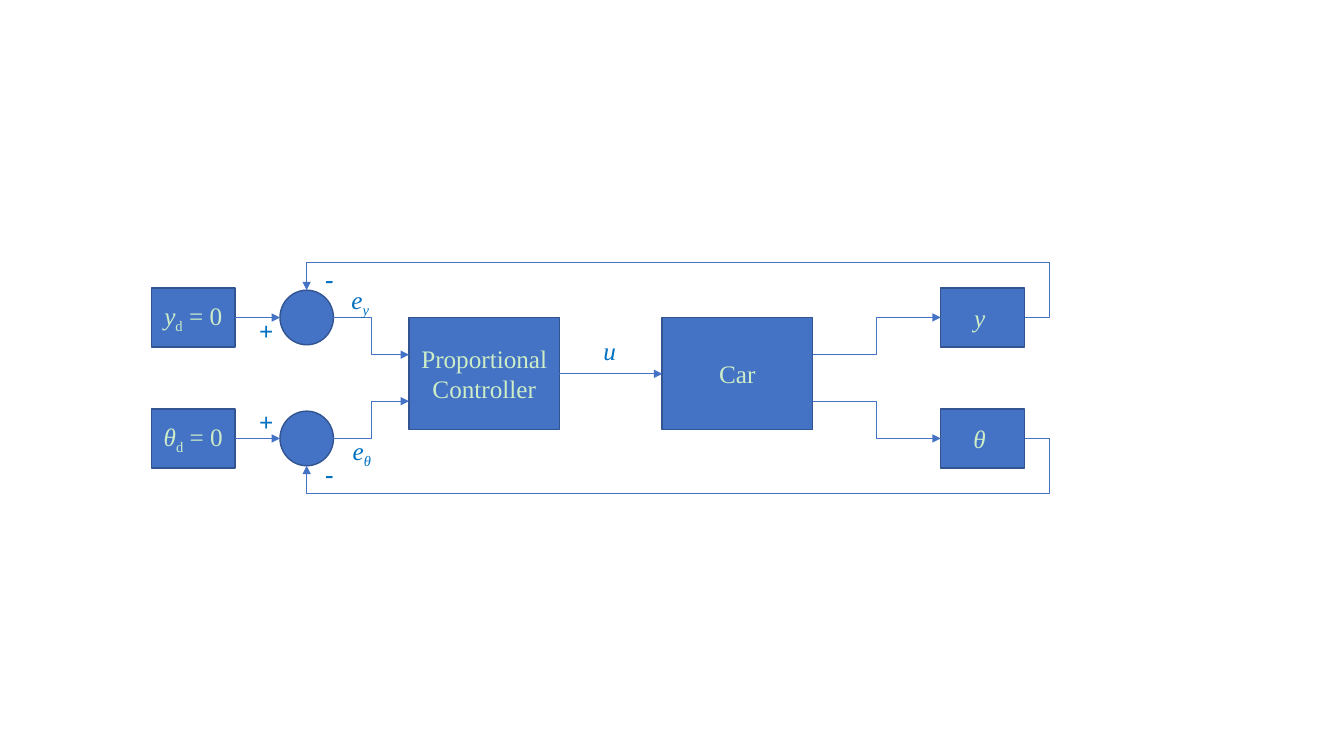
from lxml import etree
from pptx import Presentation
from pptx.dml.color import RGBColor
from pptx.enum.shapes import MSO_CONNECTOR as LINK, MSO_SHAPE as SHAPE
from pptx.enum.text import MSO_ANCHOR, MSO_AUTO_SIZE, PP_ALIGN
from pptx.oxml.ns import qn
from pptx.util import Pt

THEME = {
    "font": "Times New Roman",
    "size": 18,
    "block": RGBColor.from_string("4472C4"),
    "outline": RGBColor.from_string("325491"),
    "block_text": RGBColor.from_string("CCEDC7"),
    "signal": RGBColor.from_string("0070C0"),
    "outline_width": 1,
    "arrow_width": 0.5,
}


def write(frame, text, color, align=None, bold=None, italic=None):
    """Each line is a list of runs; "_" starts a subscript, "/" an italic run."""
    for number, line in enumerate(text):
        paragraph = frame.paragraphs[0] if number == 0 else frame.add_paragraph()
        paragraph.alignment = align
        for part in line:
            run = paragraph.add_run()
            run.text = part.lstrip("_/")
            run.font.name = THEME["font"]
            run.font.size = Pt(THEME["size"])
            run.font.color.rgb = color
            run.font.bold = bold
            run.font.italic = italic or "/" in part
            if part.startswith("_"):
                run._r.get_or_add_rPr().set("baseline", "-25000")


def connect(start, end, kind=LINK.STRAIGHT, source=None, target=None):
    """Draw an arrow; source and target are (shape, connection site)."""
    arrow = slide.shapes.add_connector(kind, *(Pt(v) for v in (*start, *end)))
    arrow.line.color.rgb = THEME["block"]
    arrow.line.width = Pt(THEME["arrow_width"])
    etree.SubElement(arrow.line._get_or_add_ln(), qn("a:tailEnd"), type="triangle")
    etree.SubElement(arrow._element.spPr, qn("a:effectLst"))
    ends = arrow._element.find(".//" + qn("p:cNvCxnSpPr"))
    for tag, glue in (("a:stCxn", source), ("a:endCxn", target)):
        if glue:
            etree.SubElement(ends, qn(tag), id=str(glue[0].shape_id), idx=str(glue[1]))
    return arrow


deck = Presentation()
deck.slide_width, deck.slide_height = Pt(960), Pt(540)
slide = deck.slides.add_slide(deck.slide_layouts[6])

# Layout: two signal rows around the controller and the car
row_y, row_theta, middle = 226.8, 313.2, 267
port_y, port_theta = 253.4, 286.6
setpoint_left, sum_left, controller_left, car_left, output_left = 108, 200, 292.2, 473, 672
small, sum_node, large = (60, 42), (38.2, 39), (107.4, 80)
RECT, OVAL = SHAPE.RECTANGLE, SHAPE.OVAL

# Blocks and summing nodes: shape, left, centre line, size, text
blocks = {
    "controller": (RECT, controller_left, middle, large, [["Proportional"], ["Controller"]]),
    "car": (RECT, car_left, middle, large, [["Car"]]),
    "setpoint_y": (RECT, setpoint_left, row_y, small, [["/y", "_d", " = 0"]]),
    "setpoint_theta": (RECT, setpoint_left, row_theta, small, [["/θ", "_d", " = 0"]]),
    "output_y": (RECT, output_left, row_y, small, [["/y "]]),
    "output_theta": (RECT, output_left, row_theta, small, [["/θ "]]),
    "sum_y": (OVAL, sum_left, row_y, sum_node, []),
    "sum_theta": (OVAL, sum_left, row_theta, sum_node, []),
}
drawn = {}
for part, (outline, left, centre, (width, height), text) in blocks.items():
    block = slide.shapes.add_shape(
        outline, Pt(left), Pt(centre - height / 2), Pt(width), Pt(height))
    block.shadow.inherit = False
    block.fill.solid()
    block.fill.fore_color.rgb = THEME["block"]
    block.line.color.rgb = THEME["outline"]
    block.line.width = Pt(THEME["outline_width"])
    block.text_frame.vertical_anchor = MSO_ANCHOR.MIDDLE
    write(block.text_frame, text, THEME["block_text"], align=PP_ALIGN.CENTER)
    drawn[part] = block

# Arrows of each signal row, with its feedback loop
setpoint_right, output_right = setpoint_left + small[0], output_left + small[0]
sum_right, sum_centre = sum_left + sum_node[0], sum_left + sum_node[0] / 2
car_right = car_left + large[0]
for signal, row, port, side, sum_site in (
        ("y", row_y, port_y, -1, 0), ("theta", row_theta, port_theta, 1, 4)):
    setpoint, node, output = (drawn[f"{part}_{signal}"] for part in ("setpoint", "sum", "output"))
    connect((setpoint_right, row), (sum_left, row), source=(setpoint, 3), target=(node, 2))
    connect((sum_right, row), (controller_left, port), LINK.ELBOW, source=(node, 6))
    connect((car_right, port), (output_left, row), LINK.ELBOW, target=(output, 1))
    feedback = connect((output_right, row), (sum_centre, row + side * sum_node[1] / 2),
                       LINK.ELBOW, source=(output, 3), target=(node, sum_site))
    bend = feedback._element.spPr.find(qn("a:prstGeom"))
    bend.set("prst", "bentConnector4")
    for guide, value in (("adj1", -3500), ("adj2", 200000)):
        etree.SubElement(bend.find(qn("a:avLst")), qn("a:gd"), name=guide, fmla=f"val {value}")

# Control arrow
connect((controller_left + large[0], middle), (car_left, middle),
        source=(drawn["controller"], 3), target=(drawn["car"], 1))

# Signal names and signs: runs, left, top, width, bold
labels = [
    (["u"], 424, 236.2, 23.8, False),
    (["+"], 177.8, 221.8, 25.2, True),
    (["+"], 177.8, 286.6, 25.2, True),
    (["-"], 225.4, 324, 20.9, True),
    (["-"], 225.4, 184.3, 20.9, True),
    (["e", "_y"], 244, 199.4, 28, False),
    (["e", "_θ"], 244.8, 307.4, 28.8, False),
]
for runs, left, top, width, bold in labels:
    label = slide.shapes.add_textbox(Pt(left), Pt(top), Pt(width), Pt(29)).text_frame
    label.word_wrap = False
    label.auto_size = MSO_AUTO_SIZE.SHAPE_TO_FIT_TEXT
    write(label, [runs], THEME["signal"], bold=bold, italic=True)

deck.save("out.pptx")
